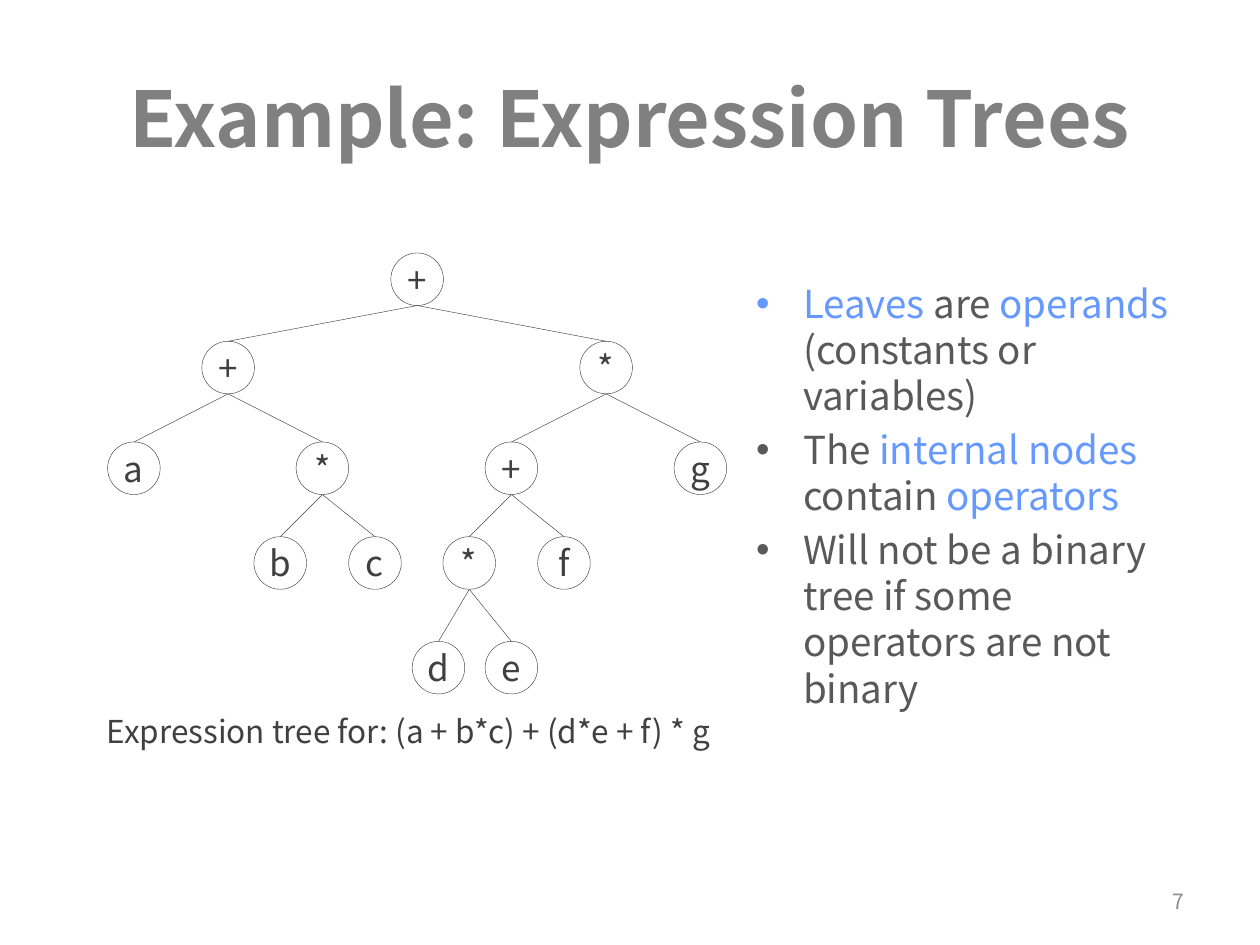
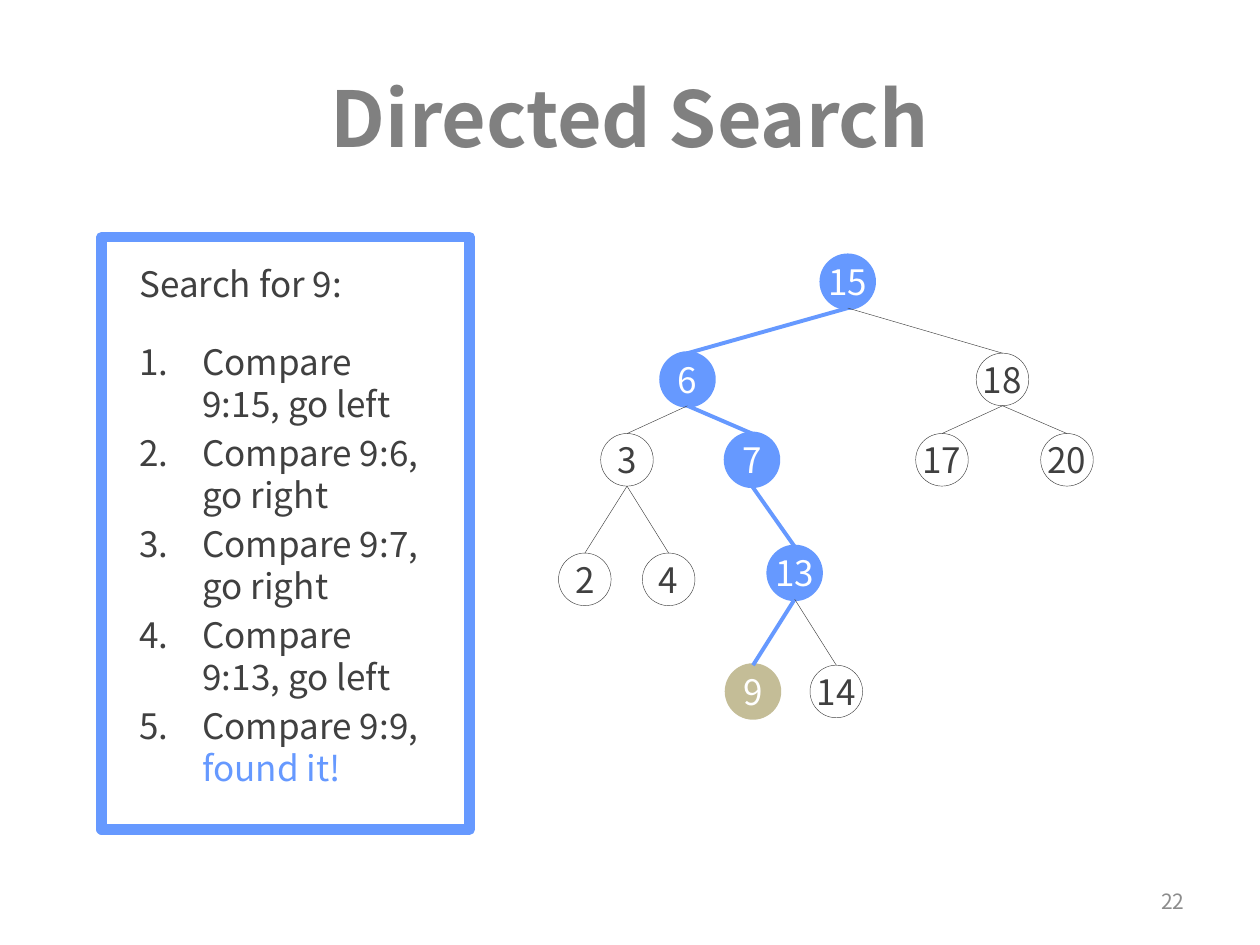
from lxml.etree import SubElement
from pptx import Presentation
from pptx.dml.color import RGBColor
from pptx.enum.shapes import MSO_CONNECTOR, MSO_SHAPE
from pptx.enum.text import MSO_ANCHOR, MSO_AUTO_SIZE, PP_ALIGN
from pptx.oxml.ns import qn
from pptx.util import Cm, Pt

LINE = MSO_CONNECTOR.STRAIGHT
OVAL = MSO_SHAPE.OVAL
MID = MSO_ANCHOR.MIDDLE
FIXED = MSO_AUTO_SIZE.NONE
LEFT, CENTER, RIGHT = PP_ALIGN.LEFT, PP_ALIGN.CENTER, PP_ALIGN.RIGHT

FACE = "Noto Sans CJK SC"
HUES = {
    "title": "808080", "page": "8C8C8C", "body": "595959", "ink": "404040",
    "blue": "6699FF", "tan": "C4BD97", "white": "FFFFFF",
}
SIZE = 1.06
BOTTOM = 4

deck = Presentation()
deck.slide_width, deck.slide_height = Cm(25.4), Cm(19.05)


def hue(name):
    return RGBColor.from_string(HUES[name])


def write(par, runs, size, align=LEFT, bold=False):
    par.alignment = align
    form = {"name": FACE, "size": Pt(size), "bold": bold}
    for text, tone in runs:
        run = par.add_run()
        run.text = text
        for key, value in form.items():
            setattr(run.font, key, value)
        run.font.color.rgb = hue(tone)


pages = [
    {
        "title": "Example: Expression Trees",
        "page": "7",
        "box": (14.99, 5.51, 8.92, 11.23),
        "inset": (0.25, 0.13),
        "frame": False,
        "size": 22,
        "hang": 0.95,
        "mark": ("a:buChar", {"char": "•"}, "Arial"),
        "lead": None,
        "items": [
            [("Leaves", "blue"), (" are ", "body"), ("operands", "blue"),
             (" (constants or variables)", "body")],
            [("The ", "body"), ("internal nodes ", "blue"),
             ("contain ", "body"), ("operators", "blue")],
            [("Will not be a binary tree if some operators are not binary", "body")],
        ],
        "nodes": [
            ("+", 8.41, 5.1, None, None),
            ("+", 4.6, 6.88, 0, None),
            ("*", 12.22, 6.88, 0, None),
            ("a", 2.7, 8.91, 1, None),
            ("*", 6.5, 8.91, 1, None),
            ("+", 10.31, 8.91, 2, None),
            ("g", 14.12, 8.91, 2, None),
            ("b", 5.65, 10.82, 4, None),
            ("c", 7.56, 10.82, 4, None),
            ("*", 9.46, 10.82, 5, None),
            ("f", 11.37, 10.82, 5, None),
            ("d", 8.84, 12.93, 9, None),
            ("e", 10.31, 12.93, 9, None),
        ],
        "note": "Expression tree for: (a + b*c) + (d*e + f) * g",
    },
    {
        "title": "Directed Search",
        "page": "22",
        "box": (2.05, 4.78, 7.42, 11.94),
        "inset": (0.76, 0.51),
        "frame": True,
        "size": 20,
        "hang": 1.27,
        "mark": ("a:buAutoNum", {"type": "arabicPeriod"}, FACE),
        "lead": "Search for 9:",
        "items": [
            [("Compare 9:15, go left", "ink")],
            [("Compare 9:6, go right", "ink")],
            [("Compare 9:7, go right", "ink")],
            [("Compare 9:13, go left", "ink")],
            [("Compare 9:9, ", "ink"), ("found it!", "blue")],
        ],
        "nodes": [
            ("15", 17.09, 5.15, None, "blue"),
            ("6", 13.86, 7.12, 0, "blue"),
            ("18", 20.21, 7.12, 0, None),
            ("3", 12.64, 8.74, 1, None),
            ("7", 15.16, 8.74, 1, "blue"),
            ("17", 18.99, 8.74, 2, None),
            ("20", 21.51, 8.74, 2, None),
            ("2", 11.79, 11.15, 3, None),
            ("4", 13.48, 11.15, 3, None),
            ("13", 16.02, 11.02, 4, "blue"),
            ("9", 15.18, 13.41, 9, "tan"),
            ("14", 16.86, 13.41, 9, None),
        ],
        "note": None,
    },
]

for page in pages:
    slide = deck.slides.add_slide(deck.slide_layouts[1])
    shapes = slide.shapes
    title, body = shapes.title, slide.placeholders[1]
    number = shapes.add_textbox(0, 0, 0, 0)
    places = [
        (title, (1.27, 0.76, 22.86, 3.18)),
        (body, page["box"]),
        (number, (18.21, 17.65, 5.92, 1.02)),
    ]
    for shape, spot in places:
        for key, value in zip(("left", "top", "width", "height"), spot):
            setattr(shape, key, Cm(value))
        shape.text_frame.word_wrap = True
        shape.text_frame.auto_size = FIXED

    for shape in (title, number):
        shape.text_frame.vertical_anchor = MID
    write(title.text_frame.paragraphs[0], [(page["title"], "title")], 44, CENTER, True)
    write(number.text_frame.paragraphs[0], [(page["page"], "page")], 12, RIGHT)

    frame = body.text_frame
    side, edge = page["inset"]
    for key, value in {"left": side, "right": side, "top": edge, "bottom": edge}.items():
        setattr(frame, "margin_" + key, Cm(value))
    if page["frame"]:
        body.fill.solid()
        body.fill.fore_color.rgb = hue("white")
        body.line.color.rgb = hue("blue")
        body.line.width = Pt(6)

    par = frame.paragraphs[0]
    par.space_before = Pt(0)
    gap = page["size"] / 5
    if page["lead"]:
        props = par._p.get_or_add_pPr()
        props.set("marL", "0")
        props.set("indent", "0")
        SubElement(props, qn("a:buNone"))
        write(par, [(page["lead"], "ink")], page["size"])
    tag, attrs, face = page["mark"]
    for rank, runs in enumerate(page["items"]):
        if rank or page["lead"]:
            par = frame.add_paragraph()
            par.space_before = Pt(gap if rank else 20.5)
        props = par._p.get_or_add_pPr()
        props.set("marL", str(Cm(page["hang"])))
        props.set("indent", str(-Cm(page["hang"])))
        SubElement(props, qn("a:buFont"), typeface=face)
        SubElement(props, qn(tag), attrs)
        write(par, runs, page["size"])

    nodes = []
    for label, mid, top, parent, tone in page["nodes"]:
        node = shapes.add_shape(OVAL, Cm(mid - SIZE / 2), Cm(top), Cm(SIZE), Cm(SIZE))
        node.shadow.inherit = False
        if tone:
            node.fill.solid()
            node.fill.fore_color.rgb = hue(tone)
        else:
            node.fill.background()
        node.line.color.rgb = hue(tone or "ink")
        node.line.width = Pt(2.25 if tone else 0.25)
        node.text_frame.word_wrap = False
        node.text_frame.vertical_anchor = MID
        write(node.text_frame.paragraphs[0], [(label, "white" if tone else "ink")], 20, CENTER)
        nodes.append(node)
        if parent is None:
            continue
        above = nodes[parent]
        link = shapes.add_connector(
            LINE, above.left + above.width // 2, above.top + above.height, Cm(mid), Cm(top))
        start = link._element.nvCxnSpPr.cNvCxnSpPr.get_or_add_stCxn()
        start.id, start.idx = above.shape_id, BOTTOM
        link.end_connect(node, 0)
        link.line.color.rgb = hue("blue" if tone else "ink")
        link.line.width = Pt(2.25 if tone else 0.25)
        SubElement(link._element.spPr, qn("a:effectLst"))

    if page["note"]:
        note = shapes.add_textbox(Cm(1.9), Cm(14.22), Cm(13), Cm(1.02))
        note.text_frame.word_wrap = True
        write(note.text_frame.paragraphs[0], [(page["note"], "ink")], 18)

deck.save("out.pptx")
